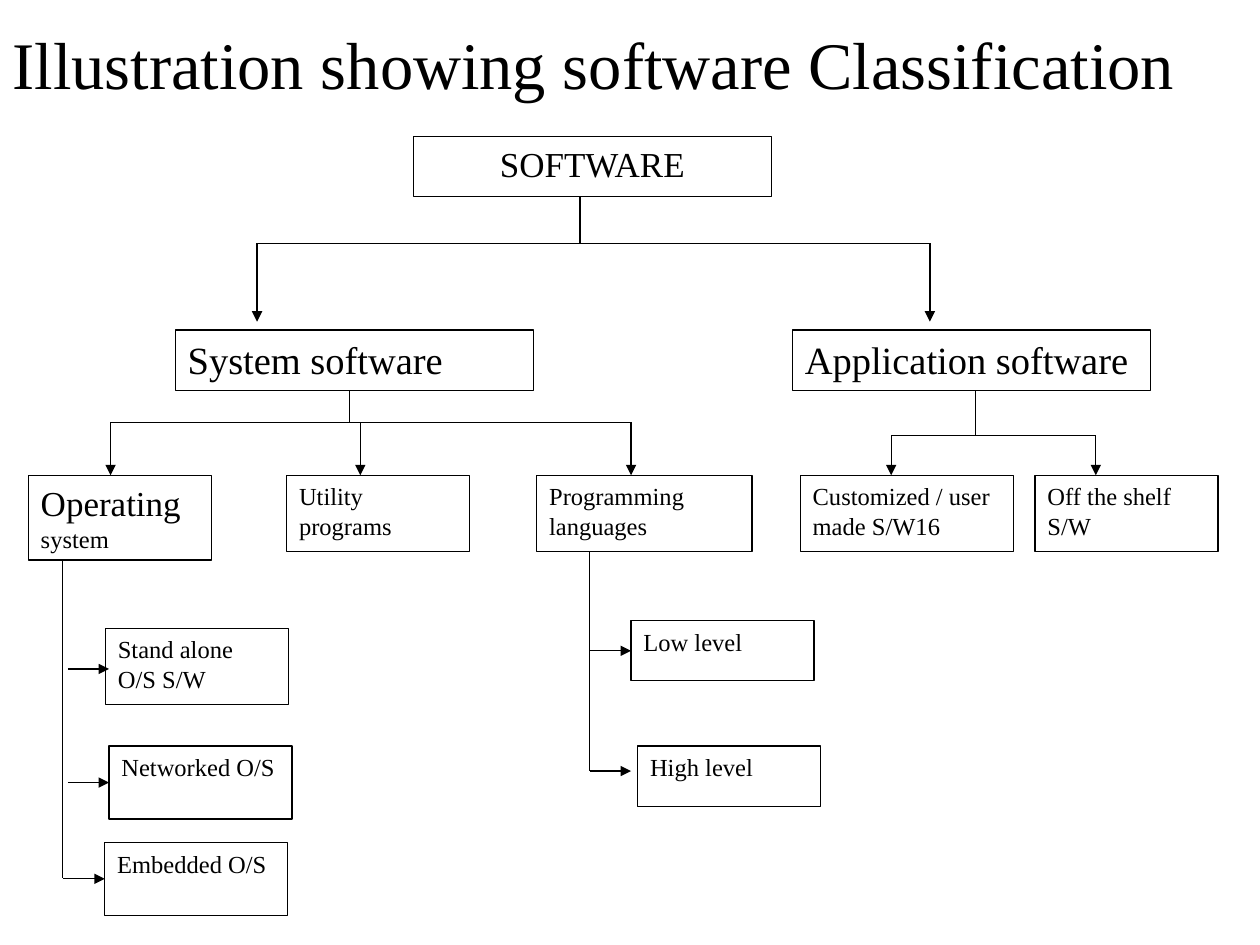
from lxml.etree import SubElement
from pptx import Presentation
from pptx.dml.color import RGBColor
from pptx.enum.shapes import MSO_CONNECTOR as CONNECTOR, MSO_SHAPE as SHAPE
from pptx.enum.text import MSO_ANCHOR as ANCHOR, MSO_AUTO_SIZE as AUTO_SIZE, PP_ALIGN as ALIGN
from pptx.oxml.ns import qn
from pptx.util import Pt

BLACK = RGBColor(0, 0, 0)
WHITE = RGBColor(255, 255, 255)
FONT = "Times New Roman"
LEFT_SIDE = 1


def style_run(run, size):
    """Give a run the slide's font and colour at the given size."""
    run.font.name = FONT
    run.font.size = Pt(size)
    run.font.color.rgb = BLACK


def set_insets(frame):
    """Apply the margins shared by the title and the boxes."""
    frame.word_wrap = True
    frame.margin_left = frame.margin_right = Pt(7.2)
    frame.margin_top = frame.margin_bottom = Pt(3.6)


def add_title(slide, text):
    """Place and format the title placeholder."""
    title = slide.shapes.title
    title.left, title.top, title.width, title.height = Pt(0), Pt(0), Pt(707.8), Pt(72)
    frame = title.text_frame
    frame.text = text
    set_insets(frame)
    frame.auto_size = AUTO_SIZE.NONE
    frame.vertical_anchor = ANCHOR.MIDDLE
    heading = frame.paragraphs[0]
    heading.alignment = ALIGN.JUSTIFY
    style_run(heading.runs[0], 38)


def add_box(slide, left, top, width, height, text, size=14, align=ALIGN.LEFT):
    """Draw an outlined category box with its label."""
    box = slide.shapes.add_shape(SHAPE.RECTANGLE, Pt(left), Pt(top), Pt(width), Pt(height))
    box.shadow.inherit = False
    box.fill.solid()
    box.fill.fore_color.rgb = WHITE
    box.line.color.rgb = BLACK
    box.line.width = Pt(0.75)
    frame = box.text_frame
    set_insets(frame)
    frame.vertical_anchor = ANCHOR.TOP
    frame.text = text
    label = frame.paragraphs[0]
    label.alignment = align
    label.space_after = Pt(10)
    style_run(label.runs[0], size)
    return box


def add_line(slide, x1, y1, x2, y2, arrow=False):
    """Draw a straight line, with an arrowhead at its end if asked."""
    line = slide.shapes.add_connector(CONNECTOR.STRAIGHT, Pt(x1), Pt(y1), Pt(x2), Pt(y2))
    line.line.color.rgb = BLACK
    line.line.width = Pt(0.75)
    properties = line._element.spPr
    if arrow:
        SubElement(properties.find(qn("a:ln")), qn("a:tailEnd"), type="triangle")
    SubElement(properties, qn("a:effectLst"))
    return line


def add_arrow_into(slide, start_x, box):
    """Draw a level arrow joined to the middle of a box's left side."""
    middle = (box.top + box.height / 2) / Pt(1)
    arrow = add_line(slide, start_x, middle, box.left / Pt(1), middle, arrow=True)
    arrow.end_connect(box, LEFT_SIDE)


def add_branch(slide, stem_x, stem_top, bar_y, drops, drop_end):
    """Draw a stem, a crossbar and an arrow down to each child."""
    add_line(slide, stem_x, stem_top, stem_x, bar_y)
    add_line(slide, drops[0], bar_y, drops[-1], bar_y)
    for drop in drops:
        add_line(slide, drop, bar_y, drop, drop_end, arrow=True)


def main():
    """Build the software classification slide."""
    deck = Presentation()
    deck.slide_width, deck.slide_height = Pt(720), Pt(540)
    slide = deck.slides.add_slide(deck.slide_layouts[5])
    add_title(slide, "Illustration showing software Classification")

    add_box(slide, 236.2, 77.9, 204.6, 34.4, "SOFTWARE", 20, ALIGN.CENTER)
    for left, label in ((100.2, "System software"), (452.9, "Application software")):
        add_box(slide, left, 188.6, 204.6, 34.4, label, 22)

    operating = add_box(slide, 16.2, 271.6, 104.6, 48.4, "Operating", 20)
    system = operating.text_frame.paragraphs[0].add_run()
    system.text = " system"
    style_run(system, 14)
    for left, width, label in (
        (163.8, 104.6, "Utility programs"),
        (306.7, 123, "Programming languages"),
        (457.3, 122, "Customized / user made S/W16"),
        (591.5, 104.6, "Off the shelf S/W"),
    ):
        add_box(slide, left, 271.6, width, 43.4, label)

    add_box(slide, 60.3, 359, 104.6, 43.4, "Stand alone O/S S/W")
    networked = add_box(slide, 62.3, 426.4, 104.6, 41.6, "Networked O/S")
    embedded = add_box(slide, 59.9, 481.4, 104.6, 41.6, "Embedded O/S")
    low_level = add_box(slide, 360.6, 354.7, 104.6, 34.4, "Low level")
    add_box(slide, 364.4, 426.4, 104.6, 34.4, "High level")

    add_branch(slide, 331.5, 112.3, 139, (146.9, 531.4), 183.8)
    add_branch(slide, 199.7, 223, 241.3, (63.2, 205.9, 360.6), 271.6)
    add_branch(slide, 557.3, 223, 248.9, (509.3, 626.2), 271.6)

    add_line(slide, 35.9, 320.1, 35.9, 501.8)
    add_line(slide, 38.8, 382.3, 62.3, 382.3, arrow=True)
    add_arrow_into(slide, 38.8, networked)
    add_arrow_into(slide, 35.9, embedded)

    add_line(slide, 337, 315.1, 337, 440.6)
    add_arrow_into(slide, 337, low_level)
    add_line(slide, 337, 440.6, 360.6, 440.6, arrow=True)

    deck.save("out.pptx")


if __name__ == "__main__":
    main()
